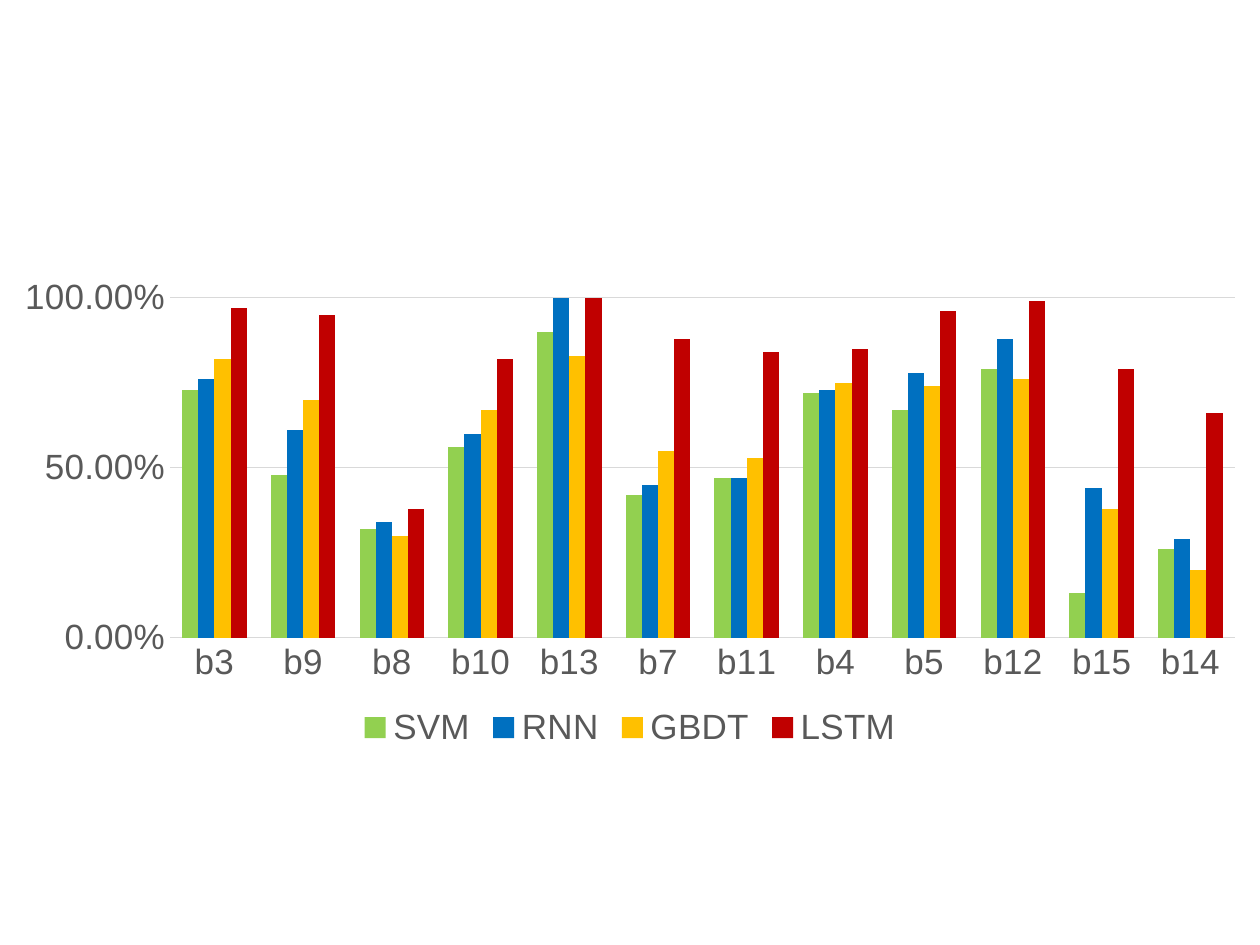
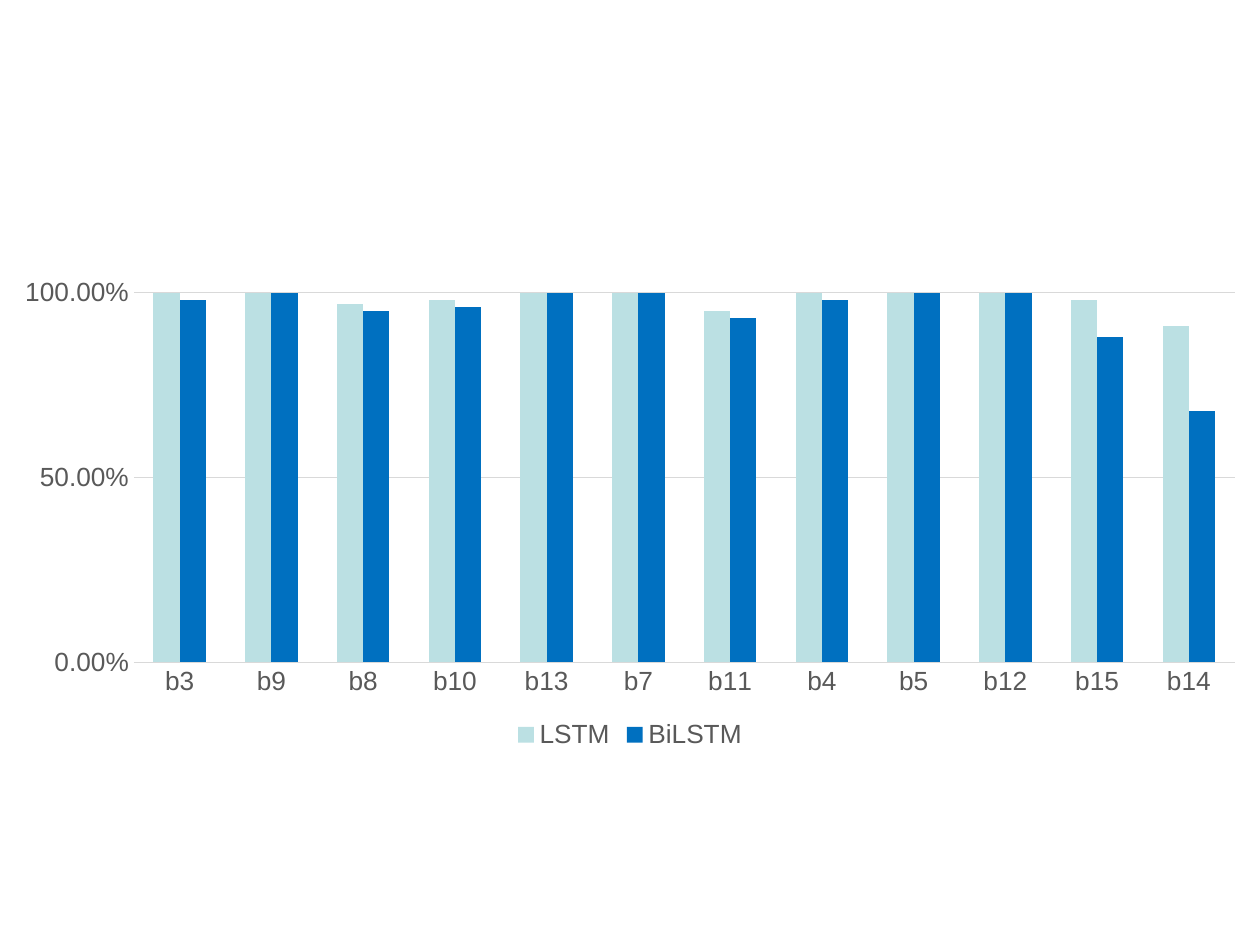
from dataclasses import dataclass

from pptx import Presentation
from pptx.chart.axis import CategoryAxis, ValueAxis
from pptx.chart.data import CategoryChartData
from pptx.dml.color import RGBColor
from pptx.enum.chart import XL_CHART_TYPE, XL_LEGEND_POSITION, XL_TICK_MARK
from pptx.slide import Slide
from pptx.text.text import Font
from pptx.util import Cm, Pt

CLUSTERED = XL_CHART_TYPE.COLUMN_CLUSTERED
LEGEND_BOTTOM = XL_LEGEND_POSITION.BOTTOM
NO_TICK = XL_TICK_MARK.NONE

FONT = "Arial"
LABEL_GREY = "595959"
LINE_GREY = "D9D9D9"
GREEN = "92D050"
BLUE = "0070C0"
AMBER = "FFC000"
RED = "C00000"
PALE_TEAL = "BBE0E3"

SLIDE_WIDTH, SLIDE_HEIGHT = Cm(25.4), Cm(19.05)
CHART_TOP, CHART_HEIGHT = Cm(5.41), Cm(9.8)
PERCENT = "0.00%"
BEHAVIOURS = ["b3", "b9", "b8", "b10", "b13", "b7",
              "b11", "b4", "b5", "b12", "b15", "b14"]


@dataclass(frozen=True)
class Model:
    name: str
    color: str
    scores: list[float]


@dataclass(frozen=True)
class Comparison:
    label_size: int
    models: list[Model]


COMPARISONS = [
    Comparison(20, [
        Model("SVM", GREEN, [0.73, 0.48, 0.32, 0.56, 0.9, 0.42,
                             0.47, 0.72, 0.67, 0.79, 0.13, 0.26]),
        Model("RNN", BLUE, [0.76, 0.61, 0.34, 0.6, 1, 0.45,
                            0.47, 0.73, 0.78, 0.88, 0.44, 0.29]),
        Model("GBDT", AMBER, [0.82, 0.7, 0.3, 0.67, 0.83, 0.55,
                              0.53, 0.75, 0.74, 0.76, 0.38, 0.2]),
        Model("LSTM", RED, [0.97, 0.95, 0.38, 0.82, 1, 0.88,
                            0.84, 0.85, 0.96, 0.99, 0.79, 0.66]),
    ]),
    Comparison(15, [
        Model("LSTM", PALE_TEAL, [1, 1, 0.97, 0.98, 1, 1,
                                  0.95, 1, 1, 1, 0.98, 0.91]),
        Model("BiLSTM", BLUE, [0.98, 1, 0.95, 0.96, 1, 1,
                               0.93, 0.98, 1, 1, 0.88, 0.68]),
    ]),
]


def rgb(color: str) -> RGBColor:
    return RGBColor.from_string(color)


def style_font(font: Font, *, size: float, color: str = LABEL_GREY) -> None:
    font.name = FONT
    font.size = Pt(size)
    font.bold = False
    font.color.rgb = rgb(color)


def style_line(line, color: str = LINE_GREY) -> None:
    line.color.rgb = rgb(color)
    line.width = Pt(0.75)


def style_axis(axis: CategoryAxis | ValueAxis, label_size: int) -> None:
    axis.major_tick_mark = NO_TICK
    axis.minor_tick_mark = NO_TICK
    style_font(axis.tick_labels.font, size=label_size)


def style_score_axis(axis: ValueAxis) -> None:
    """Scale the scores from 0 to 100 % with a grid line at each half."""
    axis.minimum_scale = 0
    axis.maximum_scale = 1
    axis.major_unit = 0.5
    axis.tick_labels.number_format = PERCENT
    axis.tick_labels.number_format_is_linked = False
    axis.has_major_gridlines = True
    style_line(axis.major_gridlines.format.line)
    axis.format.line.fill.background()


def add_comparison(slide: Slide, comparison: Comparison) -> None:
    scores = CategoryChartData(number_format=PERCENT)
    scores.categories = BEHAVIOURS
    for model in comparison.models:
        scores.add_series(model.name, model.scores)

    chart = slide.shapes.add_chart(
        CLUSTERED, 0, CHART_TOP, SLIDE_WIDTH, CHART_HEIGHT, scores).chart
    chart.has_title = False
    style_font(chart.font, size=10, color="000000")

    for axis in (chart.category_axis, chart.value_axis):
        style_axis(axis, comparison.label_size)
    style_line(chart.category_axis.format.line)
    style_score_axis(chart.value_axis)

    chart.has_legend = True
    chart.legend.position = LEGEND_BOTTOM
    chart.legend.include_in_layout = False
    style_font(chart.legend.font, size=comparison.label_size)

    columns = chart.plots[0]
    columns.gap_width = 150
    columns.overlap = 0
    columns.vary_by_categories = False
    for series, model in zip(columns.series, comparison.models):
        series.invert_if_negative = False
        series.format.fill.solid()
        series.format.fill.fore_color.rgb = rgb(model.color)


def main() -> None:
    deck = Presentation()
    deck.slide_width, deck.slide_height = SLIDE_WIDTH, SLIDE_HEIGHT
    blank_layout = deck.slide_layouts[6]
    for comparison in COMPARISONS:
        add_comparison(deck.slides.add_slide(blank_layout), comparison)
    deck.save("out.pptx")


if __name__ == "__main__":
    main()
